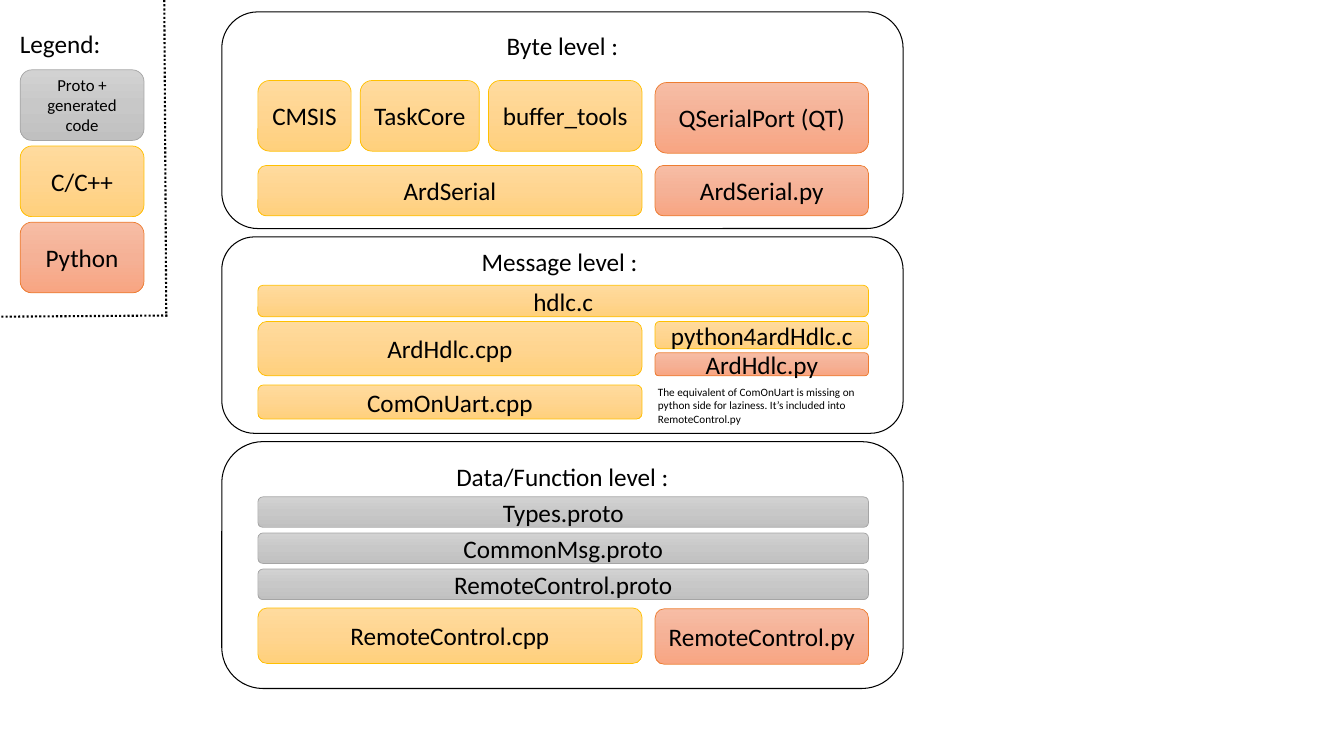
from copy import deepcopy

from lxml.etree import SubElement
from pptx import Presentation
from pptx.dml.color import RGBColor
from pptx.enum.dml import MSO_LINE
from pptx.enum.shapes import MSO_CONNECTOR, MSO_SHAPE
from pptx.enum.text import MSO_ANCHOR, PP_ALIGN
from pptx.oxml.ns import qn
from pptx.util import Cm, Pt

COLORS = {
    "ink": "000000",
    "proto": ("D2D2D2", "C8C8C8", "C0C0C0"),
    "proto_line": "A5A5A5",
    "cpp": ("FFDB9E", "FFD590", "FFD07C"),
    "cpp_line": "FFC000",
    "python": ("F7BDA5", "F5B196", "F8A582"),
    "python_line": "ED7D31",
}
FONT = "Calibri"

# Columns shared by all three levels, in centimetres
LEFT, LEFT_W = 6.5, 9.68
RIGHT, RIGHT_W = 16.51, 5.38
FULL_W = RIGHT + RIGHT_W - LEFT


def rgb(value):
    """Turn a hex string into a colour."""
    return RGBColor.from_string(value)


def add_run(p, text, size):
    """Append one black run to a paragraph."""
    r = p.add_run()
    r.text = text
    r.font.name = FONT
    r.font.size = Pt(size)
    r.font.color.rgb = rgb(COLORS["ink"])


def add_round_rect(s, x, y, w, h, text, size, line, line_width):
    """Add a rounded rectangle with centred text and no shadow."""
    sp = s.shapes.add_shape(MSO_SHAPE.ROUNDED_RECTANGLE,
                            Cm(x), Cm(y), Cm(w), Cm(h))
    sp.shadow.inherit = False
    sp.line.color.rgb = rgb(line)
    sp.line.width = Pt(line_width)
    tf = sp.text_frame
    tf.word_wrap = True
    tf.vertical_anchor = MSO_ANCHOR.MIDDLE
    p = tf.paragraphs[0]
    p.alignment = PP_ALIGN.CENTER
    add_run(p, text, size)
    return sp


def add_panel(s, y, h, title, title_gap):
    """Add the outline of one level with its title at the top."""
    sp = add_round_rect(s, 5.59, y, 17.17, h, title, 18, COLORS["ink"], 0.75)
    sp.fill.background()
    sp.text_frame.vertical_anchor = MSO_ANCHOR.TOP
    sp.text_frame.margin_top = Cm(title_gap)


def add_block(s, x, y, w, h, text, kind, size=18):
    """Add a module block with the gradient of its language."""
    sp = add_round_rect(s, x, y, w, h, text, size,
                        COLORS[kind + "_line"], 0.5)
    sp.fill.gradient()
    sp.fill.gradient_angle = 270
    stops = sp._element.spPr.find(qn("a:gradFill")).find(qn("a:gsLst"))
    stops.insert(1, deepcopy(stops[0]))
    for stop, color, position in zip(sp.fill.gradient_stops,
                                     COLORS[kind], (0, 0.5, 1)):
        stop.color.rgb = rgb(color)
        stop.position = position


def add_text(s, x, y, w, h, text, size):
    """Add a wrapping text box."""
    tf = s.shapes.add_textbox(Cm(x), Cm(y), Cm(w), Cm(h)).text_frame
    tf.word_wrap = True
    add_run(tf.paragraphs[0], text, size)


def add_dotted_line(s, x1, y1, x2, y2):
    """Add a dotted border line."""
    cn = s.shapes.add_connector(MSO_CONNECTOR.STRAIGHT,
                                Cm(x1), Cm(y1), Cm(x2), Cm(y2))
    cn.line.color.rgb = rgb(COLORS["ink"])
    cn.line.width = Pt(1.5)
    cn.line.dash_style = MSO_LINE.ROUND_DOT
    SubElement(cn._element.spPr, qn("a:effectLst"))


def add_legend(s):
    """Add the colour legend and its dotted border."""
    add_text(s, 0.25, 0.58, 4.32, 1.02, "Legend: ", 18)
    entries = (("Proto + generated code", "proto", 12),
               ("C/C++", "cpp", 18),
               ("Python", "python", 18))
    for i, (text, kind, size) in enumerate(entries):
        add_block(s, 0.51, 1.76 + 1.92 * i, 3.12, 1.78, text, kind, size)
    add_dotted_line(s, 4.14, 0, 4.19, 7.98)
    add_dotted_line(s, 4.22, 7.95, 0, 7.98)


def add_byte_level(s):
    """Add the serial port level."""
    add_panel(s, 0.3, 5.46, "Byte level :", 0.2)
    x = LEFT
    for text, w in (("CMSIS", 2.35), ("TaskCore", 3), ("buffer_tools", 3.87)):
        add_block(s, x, 2.03, w, 1.78, text, "cpp")
        x += w + 0.23
    add_block(s, RIGHT, 2.08, RIGHT_W, 1.78, "QSerialPort (QT)", "python")
    add_block(s, LEFT, 4.17, LEFT_W, 1.27, "ArdSerial", "cpp")
    add_block(s, RIGHT, 4.17, RIGHT_W, 1.27, "ArdSerial.py", "python")


def add_message_level(s):
    """Add the HDLC message level."""
    add_panel(s, 5.97, 4.95, "Message level : ", 0)
    add_block(s, LEFT, 7.19, FULL_W, 0.79, "hdlc.c", "cpp")
    add_block(s, LEFT, 8.1, LEFT_W, 1.37, "ArdHdlc.cpp", "cpp")
    add_block(s, LEFT, 9.7, LEFT_W, 0.86, "ComOnUart.cpp", "cpp")
    add_block(s, RIGHT, 8.1, RIGHT_W, 0.69, "python4ardHdlc.c", "cpp")
    add_block(s, RIGHT, 8.89, RIGHT_W, 0.58, "ArdHdlc.py", "python")
    add_text(s, 16.33, 9.58, 5.56, 1.27,
             "The equivalent of ComOnUart is missing on python side for "
             "laziness. It\u2019s included into RemoteControl.py", 8)


def add_data_level(s):
    """Add the data and function level."""
    add_panel(s, 11.13, 6.22, "Data/Function level :", 0.18)
    for i, name in enumerate(("Types", "CommonMsg", "RemoteControl")):
        add_block(s, LEFT, 12.52 + 0.91 * i, FULL_W, 0.77,
                  name + ".proto", "proto")
    add_block(s, LEFT, 15.32, LEFT_W, 1.4, "RemoteControl.cpp", "cpp")
    add_block(s, RIGHT, 15.34, RIGHT_W, 1.4, "RemoteControl.py", "python")


def main():
    """Build and save the slide."""
    prs = Presentation()
    prs.slide_width, prs.slide_height = Cm(33.87), Cm(19.05)
    s = prs.slides.add_slide(prs.slide_layouts[6])
    add_legend(s)
    add_byte_level(s)
    add_message_level(s)
    add_data_level(s)
    prs.save("out.pptx")


main()
